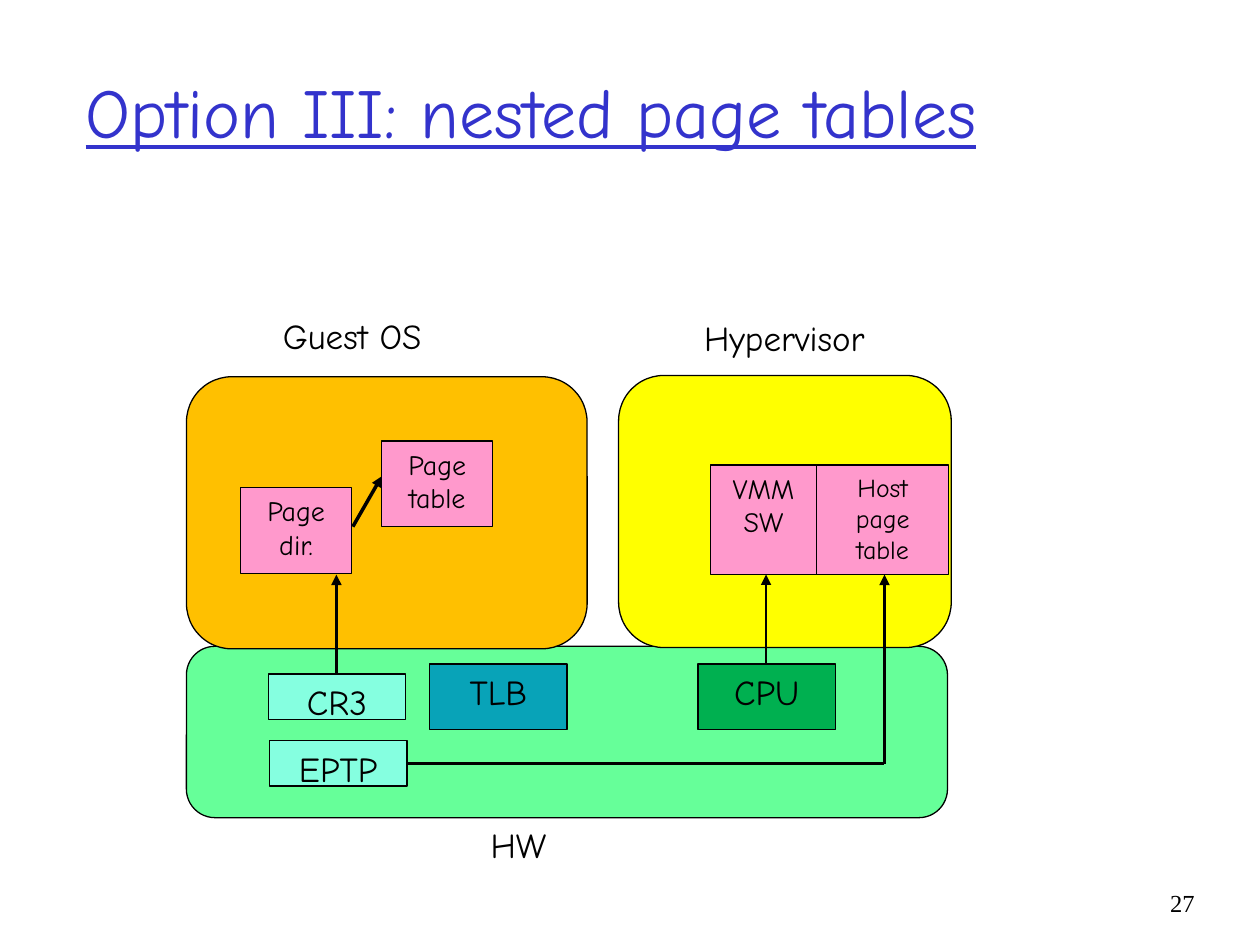
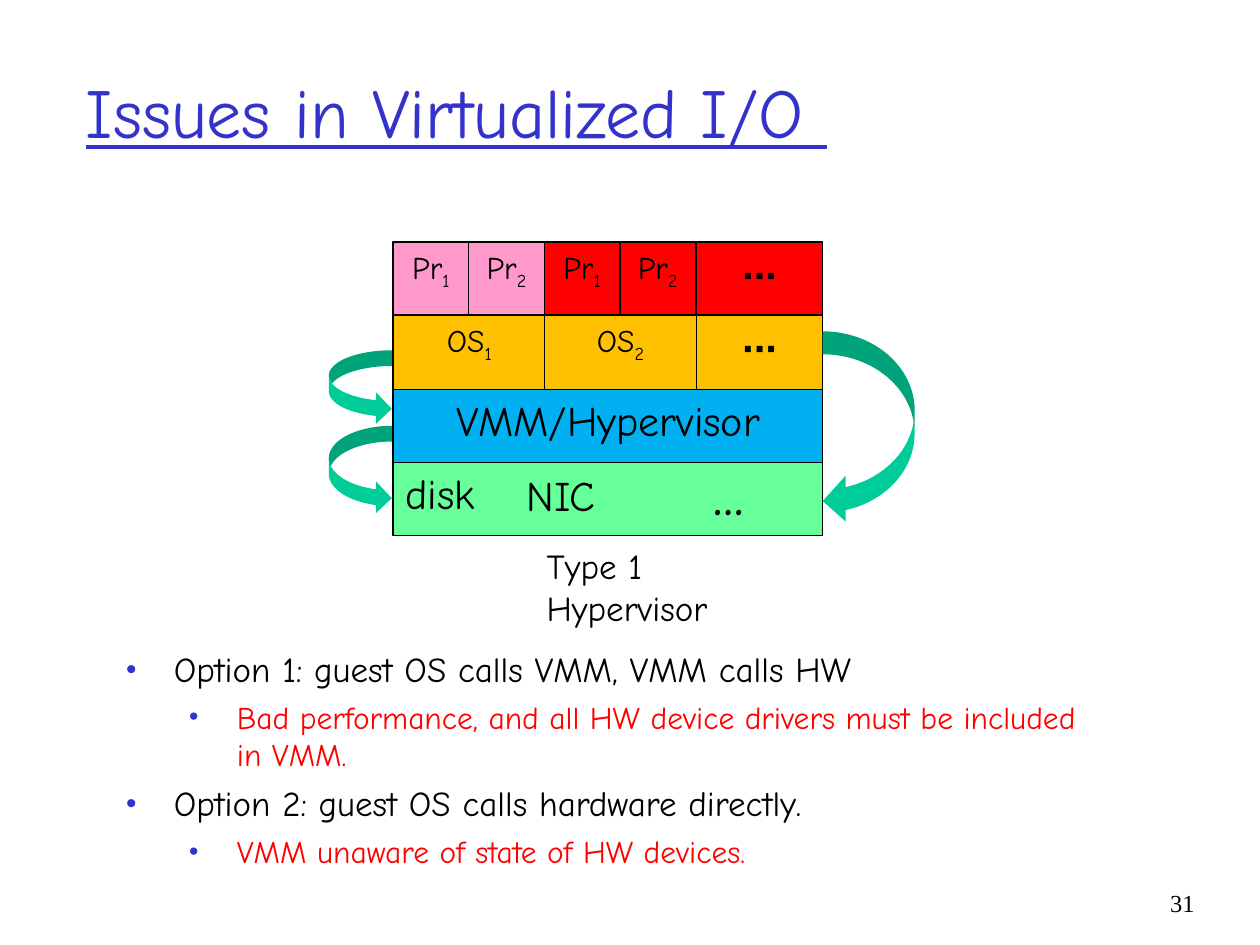
from lxml.etree import SubElement
from pptx import Presentation
from pptx.dml.color import RGBColor
from pptx.enum.shapes import MSO_CONNECTOR as Connector, MSO_SHAPE as Shape
from pptx.enum.text import MSO_ANCHOR as Anchor, MSO_AUTO_SIZE as AutoSize, PP_ALIGN as Align
from pptx.oxml.ns import qn
from pptx.util import Inches, Pt

color = RGBColor.from_string
COMIC = "Comic Neue"
BLACK, BLUE, RED = "000000", "3333CC", "FF0000"
PINK, ORANGE, YELLOW = "FF99CC", "FFC000", "FFFF00"
GREEN, AQUA, TEAL = "66FF99", "85FFE0", "00CC99"


def style(para, size, ink=BLACK, font=COMIC, bold=False, align=Align.LEFT, before=0):
    para.alignment = align
    para.space_before = Pt(before)
    for span in para.runs:
        span.font.size = Pt(size)
        span.font.name = font
        span.font.bold = bold
        span.font.color.rgb = color(ink)


def add_box(page, at, text="", fill=None, size=20, shape=Shape.RECTANGLE,
            font=COMIC, bold=False, align=Align.CENTER, before=None):
    place = [Inches(length) for length in at]
    if fill:
        box = page.shapes.add_shape(shape, *place)
        box.shadow.inherit = False
        box.fill.solid()
        box.fill.fore_color.rgb = color(fill)
        box.line.color.rgb = color(BLACK)
        box.line.width = Pt(0.75)
    else:
        box = page.shapes.add_textbox(*place)
    frame = box.text_frame
    frame.word_wrap = True
    frame.vertical_anchor = Anchor.TOP
    base, _, subscript = text.partition("_")
    para = frame.paragraphs[0]
    para.text = base
    if subscript:
        span = para.add_run()
        span.text = subscript
        span.font._element.set("baseline", "-25000")
    style(para, size, BLACK, font, bold, align, size / 4 if before is None else before)
    return box


deck = Presentation()
deck.slide_width, deck.slide_height = Inches(10), Inches(7.5)

pages = []
for layout, title, number in [
    (5, "Option III: nested page tables", "27"),
    (1, "Issues in Virtualized I/O ", "31"),
]:
    page = deck.slides.add_slide(deck.slide_layouts[layout])
    pages.append(page)
    heading = page.shapes.title
    heading.left, heading.top = Inches(0.58), Inches(0.25)
    heading.width, heading.height = Inches(8.5), Inches(1.25)
    heading.text_frame.text = title
    heading.text_frame.auto_size = AutoSize.NONE
    heading.text_frame.vertical_anchor = Anchor.MIDDLE
    style(heading.text_frame.paragraphs[0], 40, BLUE)
    heading.text_frame.paragraphs[0].runs[0].font.underline = True
    add_box(page, (9.08, 7, 0.5, 0.5), number, size=14, font="Times New Roman",
            align=Align.RIGHT, before=0)

nested, issues = pages

for at, fill in [
    ((1.48, 5.13, 6.04, 1.36), GREEN),
    ((1.48, 2.99, 3.18, 2.16), ORANGE),
    ((4.91, 2.98, 2.64, 2.16), YELLOW),
]:
    add_box(nested, at, fill=fill, shape=Shape.ROUNDED_RECTANGLE)

for text, at, fill, size in [
    ("HW", (3.57, 6.49, 1.09, 0.52), None, 20),
    ("Guest OS", (1.9, 2.45, 1.79, 0.52), None, 20),
    ("Hypervisor", (5.33, 2.46, 1.79, 0.52), None, 20),
    ("TLB", (3.41, 5.27, 1.09, 0.52), "08A3B8", 20),
    ("CPU", (5.54, 5.27, 1.09, 0.52), "00B050", 20),
    ("CR3", (2.13, 5.35, 1.09, 0.36), AQUA, 20),
    ("EPTP", (2.14, 5.88, 1.09, 0.36), AQUA, 20),
    ("Page dir.", (1.91, 3.87, 0.88, 0.68), PINK, 16),
    ("Page table", (3.03, 3.5, 0.88, 0.68), PINK, 16),
    ("Host page table", (6.48, 3.69, 1.05, 0.87), PINK, 14.8),
    ("VMM SW", (5.64, 3.69, 0.84, 0.87), PINK, 16),
]:
    add_box(nested, at, text, fill, size)

for start_x, start_y, end_x, end_y, width, has_head in [
    (2.8, 4.18, 3.03, 3.78, 2, True),
    (6.08, 5.27, 6.08, 4.56, 1.5, True),
    (2.67, 5.35, 2.67, 4.56, 2, True),
    (7.02, 6.06, 7.02, 4.56, 2, True),
    (3.23, 6.06, 7.02, 6.06, 2, False),
]:
    line = nested.shapes.add_connector(
        Connector.STRAIGHT, Inches(start_x), Inches(start_y), Inches(end_x), Inches(end_y))
    line.line.color.rgb = color(BLACK)
    line.line.width = Pt(width)
    SubElement(line._element.spPr, qn("a:effectLst"))
    if has_head:
        SubElement(line.line._get_or_add_ln(), qn("a:tailEnd"), type="triangle")

left, cell, high = 3.12, 0.6, 0.59
process_top, system_top, hypervisor_top, hardware_top = [1.92 + 0.58 * row for row in range(4)]
add_box(issues, (left, hardware_top, 3.41, high), fill=GREEN)
add_box(issues, (left, hypervisor_top, 3.41, high), "VMM/Hypervisor", "00B0F0", 24)
for column, (text, fill) in enumerate(
        [("Pr_1", PINK), ("Pr_2", PINK), ("Pr_1", RED), ("Pr_2", RED)]):
    add_box(issues, (left + cell * column, process_top, cell, high), text, fill, 18)
for column, text in enumerate(["OS_1", "OS_2"]):
    add_box(issues, (left + 2 * cell * column, system_top, 1.21, high), text, ORANGE, 18)
for top, fill in [(process_top, RED), (system_top, ORANGE)]:
    add_box(issues, (5.53, top, 1, high), "∙∙∙", fill, 24, font="Arial", bold=True)

add_box(issues, (4.24, 4.27, 1.62, 0.92), "Type 1 Hypervisor", align=Align.LEFT)
add_box(issues, (left, 3.66, 0.96, 0.58), "disk", size=24, align=Align.LEFT)
add_box(issues, (4.08, 3.68, 0.96, 0.55), "NIC", size=24, align=Align.LEFT)
add_box(issues, (5.04, 3.68, 1.49, 0.55), "…", size=25.9, bold=True)

for shape, at in [
    (Shape.CURVED_RIGHT_ARROW, (2.61, 2.78, 0.5, 0.59)),
    (Shape.CURVED_RIGHT_ARROW, (2.61, 3.38, 0.5, 0.7)),
    (Shape.CURVED_LEFT_ARROW, (6.53, 2.63, 0.73, 1.53)),
]:
    add_box(issues, at, fill=TEAL, shape=shape).line.fill.background()

body = issues.placeholders[1]
body.left, body.top = Inches(0.9), Inches(5.09)
body.width, body.height = Inches(7.91), Inches(1.97)
options = [
    (0, "Option 1: guest OS calls VMM, VMM calls HW"),
    (1, "Bad performance, and all HW device drivers must be included in VMM."),
    (0, "Option 2: guest OS calls hardware directly."),
    (1, "VMM unaware of state of HW devices."),
]
body.text_frame.text = "\n".join(text for level, text in options)
body.text_frame.auto_size = AutoSize.NONE
for para, (level, text) in zip(body.text_frame.paragraphs, options):
    para.level = level
    size = 18 if level else 20
    style(para, size, RED if level else BLACK, before=size / 4)
    properties = para._element.get_or_add_pPr()
    properties.set("marL", str(Inches(0.88 if level else 0.38)))
    properties.set("indent", str(Inches(-0.38)))
    bullet_color = SubElement(properties, qn("a:buClr"))
    SubElement(bullet_color, qn("a:srgbClr"), val=BLUE)
    SubElement(properties, qn("a:buSzPct"), val="85000")
    SubElement(properties, qn("a:buFont"), typeface="Arial")
    SubElement(properties, qn("a:buChar"), char="•")

deck.save("out.pptx")
